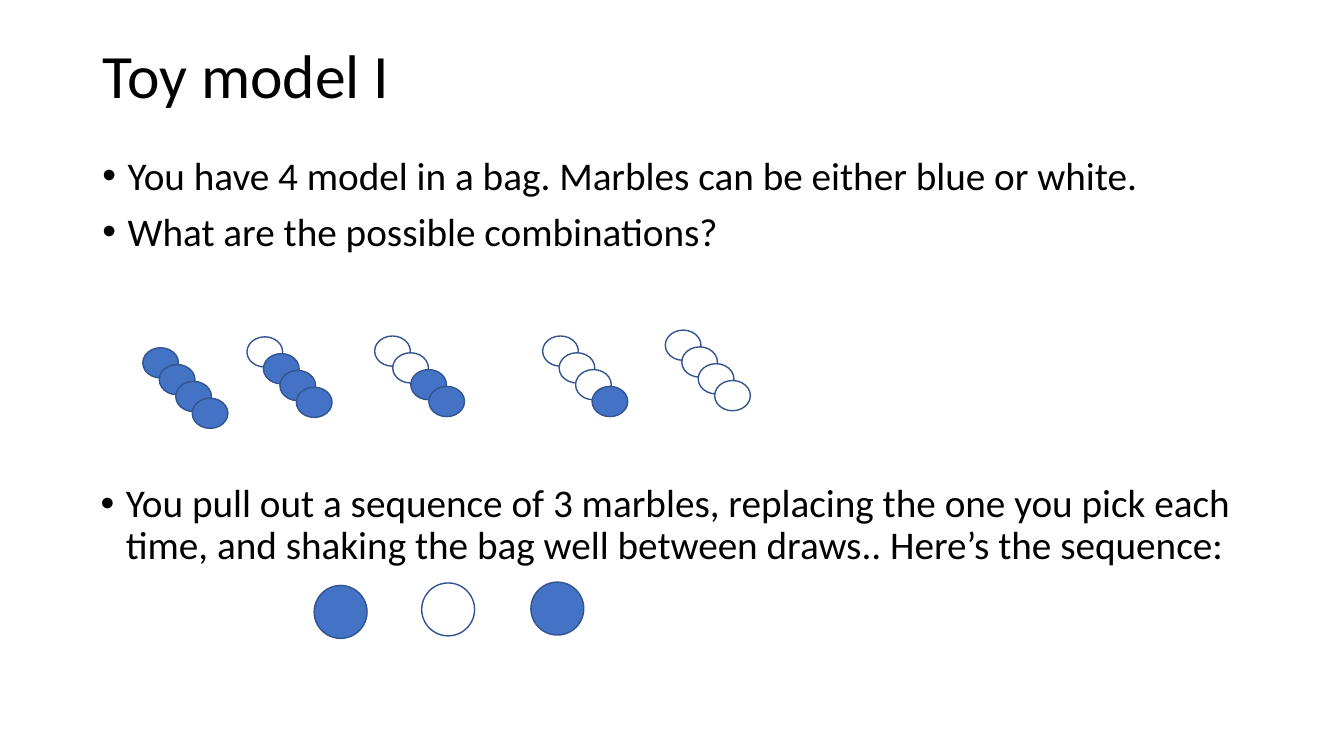
from lxml.etree import SubElement
from pptx import Presentation
from pptx.dml.color import RGBColor
from pptx.enum.shapes import MSO_SHAPE
from pptx.enum.text import MSO_ANCHOR, MSO_AUTO_SIZE, PP_ALIGN
from pptx.oxml.ns import qn
from pptx.util import Inches, Pt

BLACK = RGBColor(0x00, 0x00, 0x00)
WHITE = RGBColor(0xFF, 0xFF, 0xFF)
BLUE = RGBColor(0x44, 0x72, 0xC4)
EDGE = RGBColor(0x32, 0x54, 0x91)
FILLS = {"B": BLUE, "W": WHITE}
FONT = "Calibri"

# The slide is a grid of 160 columns by 90 rows
WIDE, HIGH = Inches(13.33), Inches(7.5)
COLS, ROWS = 160, 90

# Bags: left column, top row, column step, marbles from back to front
BAGS = [
    (17, 41.4, 1.96, "BBBB"),
    (29.4, 40.1, 1.96, "WBBB"),
    (44.6, 40, 2.15, "WWBB"),
    (64.6, 40, 1.96, "WWWB"),
    (79.2, 39.3, 1.96, "WWWW"),
]
DROP = 2

# Draws: left column, top row, colour
DRAWS = [(37.4, 69.7, "B"), (50.2, 69.4, "W"), (63.2, 69.3, "B")]


def box(left, top, wide, high):
    return (round(WIDE * left / COLS), round(HIGH * top / ROWS),
            round(WIDE * wide / COLS), round(HIGH * high / ROWS))


def place(shape, *cells):
    shape.left, shape.top, shape.width, shape.height = box(*cells)


def write(para, text, size):
    para.alignment = PP_ALIGN.LEFT
    para.line_spacing = 0.9
    run = para.add_run()
    run.text = text
    run.font.name = FONT
    run.font.size = Pt(size)
    run.font.color.rgb = BLACK


def setup(frame, anchor):
    frame.word_wrap = True
    frame.auto_size = MSO_AUTO_SIZE.NONE
    frame.vertical_anchor = anchor


def bullets(frame, lines):
    setup(frame, MSO_ANCHOR.TOP)
    for i, line in enumerate(lines):
        para = frame.add_paragraph() if i else frame.paragraphs[0]
        write(para, line, 28)
        para.space_before = Pt(10)
        props = para._p.get_or_add_pPr()
        props.set("marL", str(Inches(0.25)))
        props.set("indent", str(-Inches(0.25)))
        SubElement(props, qn("a:buFont")).set("typeface", "Arial")
        SubElement(props, qn("a:buChar")).set("char", "•")


def marble(slide, left, top, wide, high, hue):
    ball = slide.shapes.add_shape(MSO_SHAPE.OVAL, *box(left, top, wide, high))
    ball.shadow.inherit = False
    ball.fill.solid()
    ball.fill.fore_color.rgb = FILLS[hue]
    ball.line.color.rgb = EDGE
    ball.line.width = Pt(1)


def bag(slide, left, top, step, hues):
    for i, hue in enumerate(hues):
        marble(slide, left + i * step, top + i * DROP, 4.25, 3.6, hue)


def main():
    deck = Presentation()
    deck.slide_width, deck.slide_height = WIDE, HIGH
    slide = deck.slides.add_slide(deck.slide_layouts[1])

    # Title
    title = slide.shapes.title
    place(title, 11, 4.8, 138, 9.2)
    setup(title.text_frame, MSO_ANCHOR.MIDDLE)
    write(title.text_frame.paragraphs[0], "Toy model I", 44)

    # Question
    body = slide.placeholders[1]
    place(body, 11, 18, 138, 15.4)
    bullets(body.text_frame, [
        "You have 4 model in a bag. Marbles can be either blue or white.",
        "What are the possible combinations?",
    ])

    # Possible bags
    for item in BAGS:
        bag(slide, *item)

    # Drawn sequence
    note = slide.shapes.add_textbox(*box(10.8, 57, 138, 15.4))
    bullets(note.text_frame, [
        "You pull out a sequence of 3 marbles, replacing the one you pick "
        "each time, and shaking the bag well between draws.. "
        "Here’s the sequence:",
    ])
    for left, top, hue in DRAWS:
        marble(slide, left, top, 6.3, 6.3, hue)

    deck.save("out.pptx")


main()
